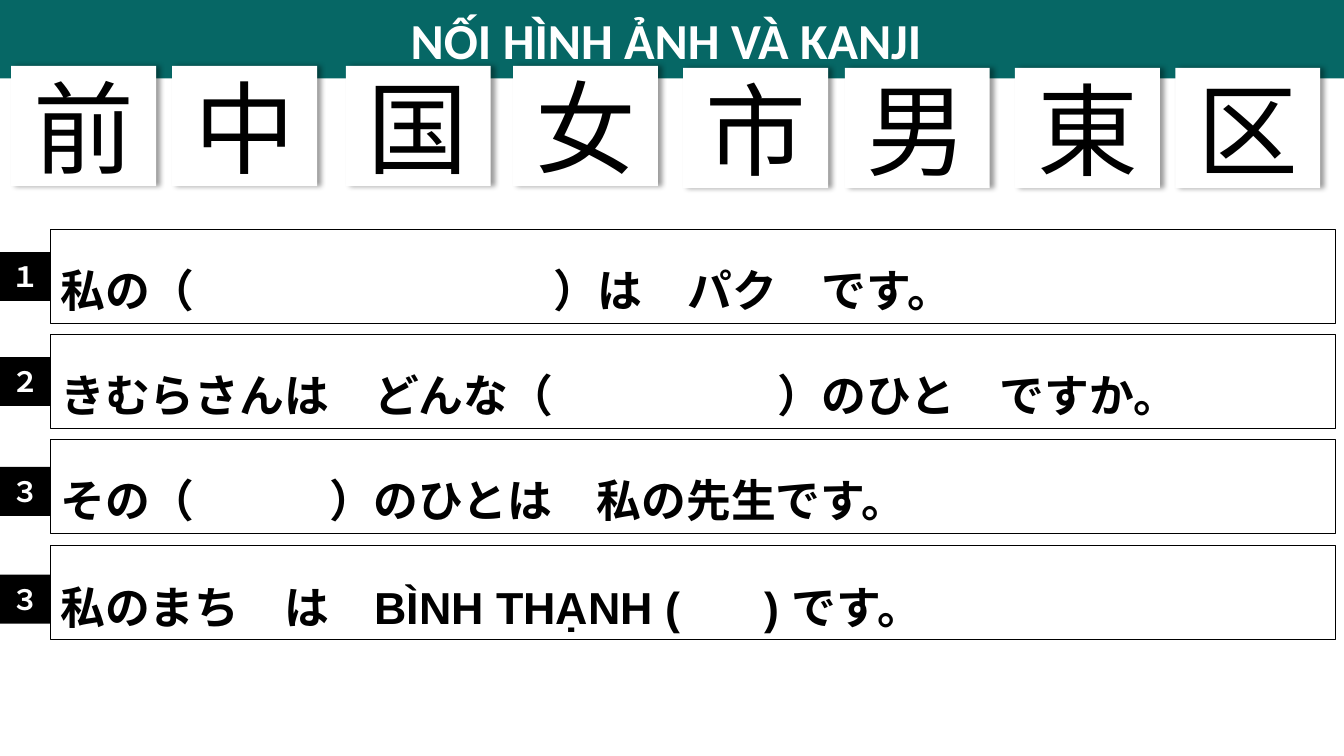
from lxml.etree import SubElement
from pptx import Presentation
from pptx.dml.color import RGBColor
from pptx.enum.shapes import MSO_SHAPE as SHAPE
from pptx.enum.text import MSO_ANCHOR as ANCHOR, PP_ALIGN as ALIGN
from pptx.oxml.ns import qn
from pptx.util import Pt

COLORS = {"teal": "066765", "white": "FFFFFF", "black": "000000"}
KANJI_FONT = "Noto Sans CJK JP"
CARDS = [
    ("前", 8, 47), ("中", 123, 47), ("国", 247, 47), ("女", 366.5, 47),
    ("市", 488, 48.5), ("男", 603.5, 48.5), ("東", 725, 48.5), ("区", 839.5, 48.5),
]
QUESTIONS = [
    ("１", "私の（\t）は　パク　です。", 164, 180, 352),
    ("２", "きむらさんは　どんな（\t）のひと　ですか。", 239, 255, 512),
    ("３", "その（\t）のひとは　私の先生です。", 314, 333.5, 192),
    ("３", "私のまち　は　BÌNH THẠNH (\t) です。", 390, 410.5, 503),
]


def rgb(name):
    return RGBColor.from_string(COLORS[name])


def add_box(s, x, y, w, h, fill=None, line=None):
    sp = s.shapes.add_shape(SHAPE.RECTANGLE, Pt(x), Pt(y), Pt(w), Pt(h))
    sp.shadow.inherit = False
    if fill:
        sp.fill.solid()
        sp.fill.fore_color.rgb = rgb(fill)
    else:
        sp.fill.background()
    if line:
        sp.line.color.rgb = rgb(line)
        sp.line.width = Pt(0.75)
    else:
        sp.line.fill.background()
    return sp


def set_text(sp, text, size, font, color, bold=True, align=ALIGN.CENTER):
    tf = sp.text_frame
    tf.word_wrap = True
    tf.vertical_anchor = ANCHOR.MIDDLE
    tf.text = text
    p = tf.paragraphs[0]
    p.alignment = align
    r = p.runs[0]
    r.font.size = Pt(size)
    r.font.name = font
    r.font.bold = bold
    r.font.color.rgb = rgb(color)
    SubElement(r.font._element, qn("a:ea"), typeface=KANJI_FONT)
    return p


def add_drop_shadow(sp):
    effects = sp._element.spPr.find(qn("a:effectLst"))
    shadow = SubElement(effects, qn("a:outerShdw"), blurRad=str(Pt(4)),
                        dist=str(Pt(3)), dir="0", algn="l", rotWithShape="0")
    color = SubElement(shadow, qn("a:srgbClr"), val=COLORS["black"])
    SubElement(color, qn("a:alpha"), val="40000")


def add_tab_stop(p, position):
    tabs = SubElement(p._p.get_or_add_pPr(), qn("a:tabLst"))
    SubElement(tabs, qn("a:tab"), pos=str(Pt(position)), algn="l")


def add_card(s, kanji, x, y):
    sp = add_box(s, x, y, 103.5, 86, fill="white")
    add_drop_shadow(sp)
    set_text(sp, kanji, 72, KANJI_FONT, "black", bold=False)


def add_question(s, number, sentence, y, badge_y, blank_end):
    sp = add_box(s, 36, y, 918, 67, line="black")
    p = set_text(sp, sentence, 32, "Arial", "black", align=ALIGN.LEFT)
    add_tab_stop(p, blank_end)
    p.line_spacing = 1.5
    badge = add_box(s, 0, badge_y, 36, 35, fill="black")
    set_text(badge, number, 20, "Calibri", "white")


def main():
    prs = Presentation()
    prs.slide_width, prs.slide_height = Pt(960), Pt(540)
    s = prs.slides.add_slide(prs.slide_layouts[6])
    banner = add_box(s, 0, 0, 960, 56, fill="teal")
    set_text(banner, "NỐI HÌNH ẢNH VÀ KANJI ", 36, "Calibri", "white")
    for card in CARDS:
        add_card(s, *card)
    for question in QUESTIONS:
        add_question(s, *question)
    prs.save("out.pptx")


if __name__ == "__main__":
    main()
